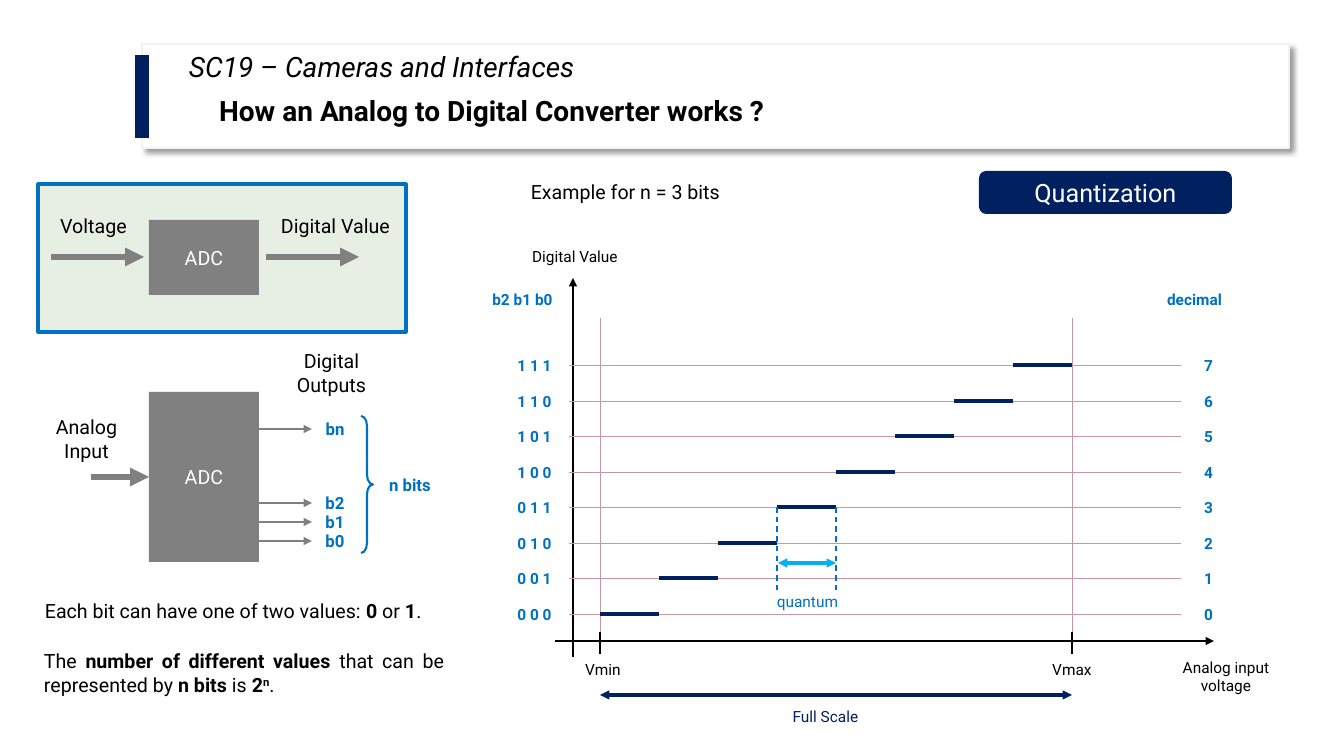
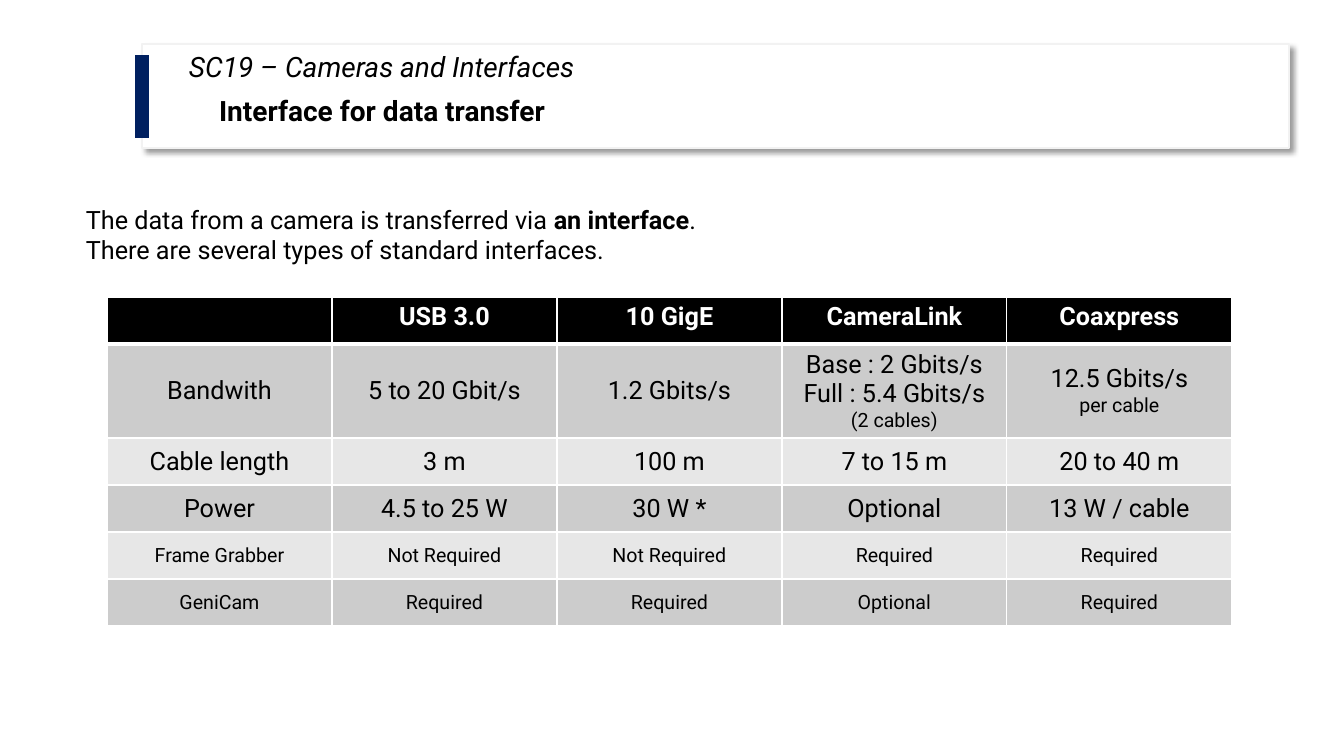
from dataclasses import dataclass

from lxml import etree
from pptx import Presentation
from pptx import util as u
from pptx.dml.color import RGBColor
from pptx.enum import dml, shapes, text
from pptx.oxml import parse_xml
from pptx.oxml.ns import nsdecls, qn

SCALE = 914400 / 100.8
LEFT, CENTER, JUSTIFY = text.PP_ALIGN.LEFT, text.PP_ALIGN.CENTER, text.PP_ALIGN.JUSTIFY
RECT = shapes.MSO_SHAPE.RECTANGLE


def px(length):
    return u.Emu(round(length * SCALE))


@dataclass(frozen=True)
class Theme:
    font: str = "Roboto"
    black: str = "000000"
    white: str = "FFFFFF"
    navy: str = "002060"
    blue: str = "0070C0"
    sky: str = "00B0F0"
    gray: str = "808080"
    pale_green: str = "E7EFE4"
    guide: str = "C696A7"
    band_edge: str = "F2F2F2"
    row_dark: str = "CCCCCC"
    row_light: str = "E7E7E7"
    heading: int = 20
    large: int = 18
    body: int = 14
    bit: int = 12
    axis: int = 11


class Deck:
    def __init__(self, theme):
        self.theme = theme
        self.prs = Presentation()
        self.prs.slide_width, self.prs.slide_height = px(1344), px(756)
        self.slide = None

    def new_slide(self, heading):
        theme = self.theme
        self.slide = self.prs.slides.add_slide(self.prs.slide_layouts[5])
        band = self.block(142, 44, 1147, 104, theme.white, edge=theme.band_edge, weight=1)
        self.drop_shadow(band)
        course = self.label("SC19 – Cameras and Interfaces", 179, 48, 922, 78, theme.heading, align=LEFT)
        course_line = course.text_frame.paragraphs[0]
        course_line.line_spacing = 0.9
        course_line.runs[0].font.italic = True
        self.block(135, 55, 14, 83, theme.navy)
        title = self.slide.shapes.title
        title.left, title.top, title.width, title.height = map(px, (209, 88, 692, 44))
        self.slide.shapes._spTree.append(title._element)
        self.set_text(title.text_frame, f"**{heading}**", theme.heading, theme.black, LEFT)

    def set_text(self, frame, content, size, color, align, anchor=text.MSO_ANCHOR.TOP):
        frame.word_wrap = True
        frame.auto_size = text.MSO_AUTO_SIZE.NONE
        frame.vertical_anchor = anchor
        self.fill_paragraphs(frame, content, size, color, align)

    def fill_paragraphs(self, frame, content, size, color, align):
        sizes = size if isinstance(size, list) else [size] * len(content.split("\n"))
        for index, (line, points) in enumerate(zip(content.split("\n"), sizes)):
            paragraph = frame.paragraphs[0] if index == 0 else frame.add_paragraph()
            paragraph.alignment = align
            for part, words in enumerate(line.split("**")):
                if words:
                    run = paragraph.add_run()
                    run.text = words
                    run.font.name = self.theme.font
                    run.font.size = u.Pt(points)
                    run.font.bold = part % 2 == 1
                    run.font.color.rgb = RGBColor.from_string(color)

    def label(self, content, x, y, width, height, size, color=None, align=CENTER):
        box = self.slide.shapes.add_textbox(px(x), px(y), px(width), px(height))
        self.set_text(box.text_frame, content, size, color or self.theme.black, align)
        return box

    def block(self, x, y, width, height, fill=None, edge=None, weight=1, kind=RECT, caption="", size=None):
        shape = self.slide.shapes.add_shape(kind, px(x), px(y), px(width), px(height))
        shape.shadow.inherit = False
        if fill:
            shape.fill.solid()
            shape.fill.fore_color.rgb = RGBColor.from_string(fill)
        else:
            shape.fill.background()
        if edge:
            shape.line.color.rgb = RGBColor.from_string(edge)
            shape.line.width = u.Pt(weight)
        else:
            shape.line.fill.background()
        if caption:
            self.set_text(shape.text_frame, caption, size, self.theme.white, CENTER, text.MSO_ANCHOR.MIDDLE)
        return shape

    def drop_shadow(self, shape):
        effects = shape._element.spPr.find(qn("a:effectLst"))
        effects.append(parse_xml(
            f'<a:outerShdw {nsdecls("a")} blurRad="50800" dist="38100" dir="2700000" algn="tl" rotWithShape="0">'
            '<a:srgbClr val="000000"><a:alpha val="40000"/></a:srgbClr></a:outerShdw>'))

    def line(self, x1, y1, x2, y2, color, weight, ends=(), dashed=False):
        connector = self.slide.shapes.add_connector(
            shapes.MSO_CONNECTOR.STRAIGHT, px(x1), px(y1), px(x2), px(y2))
        connector.line.color.rgb = RGBColor.from_string(color)
        connector.line.width = u.Pt(weight)
        if dashed:
            connector.line.dash_style = dml.MSO_LINE.DASH
        outline = connector.line._get_or_add_ln()
        for end in ends:
            etree.SubElement(outline, qn(f"a:{end}")).set("type", "triangle")
        etree.SubElement(connector._element.spPr, qn("a:effectLst"))
        return connector

    def arrow(self, x1, y1, x2, y2, color, weight):
        return self.line(x1, y1, x2, y2, color, weight, ends=("tailEnd",))

    def span(self, x1, x2, y, color):
        return self.line(x1, y, x2, y, color, 2.25, ends=("headEnd", "tailEnd"))

    def table(self, rows, x, y, column_width, heights):
        columns = len(rows[0][1])
        grid = self.slide.shapes.add_table(
            len(rows), columns, px(x), px(y), px(column_width * columns), px(sum(heights))).table
        for column in grid.columns:
            column.width = px(column_width)
        for index, (size, entries) in enumerate(rows):
            grid.rows[index].height = px(heights[index])
            for position, entry in enumerate(entries):
                self.cell(grid.cell(index, position), entry, size, index)

    def cell(self, cell, entry, size, row):
        theme = self.theme
        header = row == 0
        fill = theme.black if header else (theme.row_light, theme.row_dark)[row % 2]
        cell.fill.solid()
        cell.fill.fore_color.rgb = RGBColor.from_string(fill)
        cell.vertical_anchor = text.MSO_ANCHOR.TOP if header else text.MSO_ANCHOR.MIDDLE
        content, sizes = entry if isinstance(entry, tuple) else (entry, size)
        if header and content:
            content = f"**{content}**"
        self.fill_paragraphs(cell.text_frame, content, sizes, theme.white if header else theme.black, CENTER)
        properties = cell._tc.get_or_add_tcPr()
        for order, side in enumerate(("lnL", "lnR", "lnT", "lnB")):
            thick = (header and side == "lnB") or (row == 1 and side == "lnT")
            properties.insert(order, parse_xml(
                f'<a:{side} {nsdecls("a")} w="{u.Pt(3 if thick else 1)}"><a:solidFill>'
                f'<a:srgbClr val="{theme.white}"/></a:solidFill></a:{side}>'))


def draw_converters(deck):
    t = deck.theme
    deck.block(38, 184, 368, 148, t.pale_green, edge=t.blue, weight=2.25)
    deck.block(149, 220, 110, 75, t.gray, caption="ADC", size=t.body)
    for start in (51, 266):
        deck.arrow(start, 257, start + 93, 257, t.gray, 4.5)
    deck.label("Voltage", 42, 209, 103, 34, t.body)
    deck.label("Digital Value", 263, 209, 145, 34, t.body)

    converter = deck.block(149, 392, 110, 170, t.gray, caption="ADC", size=t.body)
    deck.arrow(91, 477, 149, 477, t.gray, 4.5).end_connect(converter, 1)
    deck.label("Analog Input", 35, 410, 103, 57, t.body)
    deck.label("Digital Outputs", 280, 344, 103, 57, t.body)
    for bit, y in (("bn", 429), ("b2", 503), ("b1", 522), ("b0", 541)):
        deck.arrow(258, y, 312, y, t.gray, 1.5)
        deck.label(f"**{bit}**", 308, y - 15, 54, 30, t.bit, t.blue)
    brace = deck.block(361, 416, 12, 137, edge=t.blue, weight=1.5, kind=shapes.MSO_SHAPE.RIGHT_BRACE)
    brace.adjustments[0], brace.adjustments[1] = 0.81, 0.5
    deck.label("**n bits**", 365, 470, 90, 30, t.bit, t.blue)

    deck.label("Each bit can have one of two values: **0** or **1**.", 35, 594, 432, 34, t.body, align=LEFT)
    count = deck.label(
        "The **number of different values **that can be represented by **n bits **is **2****n**.",
        34, 644, 420, 58, t.body, align=JUSTIFY)
    exponent = count.text_frame.paragraphs[0].runs[-2]
    exponent.font._element.set("baseline", "30000")


def draw_quantization(deck):
    t = deck.theme
    vmin, step, levels = 600, 59, 8
    vmax = vmin + step * levels

    def level_y(level):
        return 614 - round(249 * level / (levels - 1))

    deck.label("Example for n = 3 bits", 521, 175, 432, 34, t.body, align=LEFT)
    deck.block(979, 171, 253, 43, t.navy, kind=shapes.MSO_SHAPE.ROUNDED_RECTANGLE,
               caption="Quantization", size=t.large)

    deck.arrow(573, 657, 573, 278, t.black, 1.5)
    deck.arrow(555, 641, 1214, 641, t.black, 1.5)
    deck.label("Digital Value", 486, 242, 178, 29, t.axis)
    deck.label("Analog input\nvoltage", 1158, 653, 136, 47, t.axis)
    for name, x, middle in (("Vmin", vmin, 603), ("Vmax", vmax, 1072)):
        deck.line(x, 318, x, 640, t.guide, 0.5)
        deck.line(x, 654, x, 632, t.black, 1.5)
        deck.label(name, middle - 47, 655, 94, 29, t.axis)
    for name, x in (("b2 b1 b0", 473), ("decimal", 1145)):
        deck.label(f"**{name}**", x, 285, 99, 29, t.axis, t.blue)

    for level in range(levels):
        y = level_y(level)
        start = vmin + step * level
        code = " ".join(f"{level:03b}")
        deck.line(569, y, 1181, y, t.guide, 0.5)
        deck.line(start, y, start + step, y, t.navy, 3)
        for value, x in ((code, 493), (level, 1167)):
            deck.label(f"**{value}**", x, y - 14, 83, 29, t.axis, t.blue)

    quantum = vmin + step * 3
    for x in (quantum, quantum + step):
        deck.line(x, level_y(3), x, 590, t.blue, 1, dashed=True)
    deck.span(quantum + 1, quantum + step, 563, t.sky)
    deck.label("quantum", 760, 587, 95, 29, t.axis, t.blue)
    deck.span(vmin, vmax, 695, t.navy)
    deck.label("Full Scale", 778, 702, 95, 29, t.axis, t.navy)


def draw_interfaces(deck):
    t = deck.theme
    deck.label("The data from a camera is transferred via **an interface**.\n"
               "There are several types of standard interfaces.",
               76, 199, 710, 72, t.large, align=JUSTIFY)
    camera_link = ("Base : 2 Gbits/s\nFull : 5.4 Gbits/s\n(2 cables)", [t.large, t.large, t.body])
    coaxpress = ("12.5 Gbits/s\nper cable", [t.large, t.body])
    interfaces = [
        (t.large, ["", "USB 3.0", "10 GigE", "CameraLink", "Coaxpress"]),
        (t.large, ["Bandwith", "5 to 20 Gbit/s", "1.2 Gbits/s", camera_link, coaxpress]),
        (t.large, ["Cable length", "3 m", "100 m", "7 to 15 m", "20 to 40 m"]),
        (t.large, ["Power", "4.5 to 25 W", "30 W *", "Optional", "13 W / cable"]),
        (t.body, ["Frame Grabber", "Not Required", "Not Required", "Required", "Required"]),
        (t.body, ["GeniCam", "Required", "Required", "Optional", "Required"]),
    ]
    deck.table(interfaces, 107, 297, 225, [47, 94, 47, 47, 47, 47])


def main():
    deck = Deck(Theme())
    deck.new_slide("How an Analog to Digital Converter works ?")
    draw_converters(deck)
    draw_quantization(deck)
    deck.new_slide("Interface for data transfer")
    draw_interfaces(deck)
    deck.prs.save("out.pptx")


if __name__ == "__main__":
    main()
